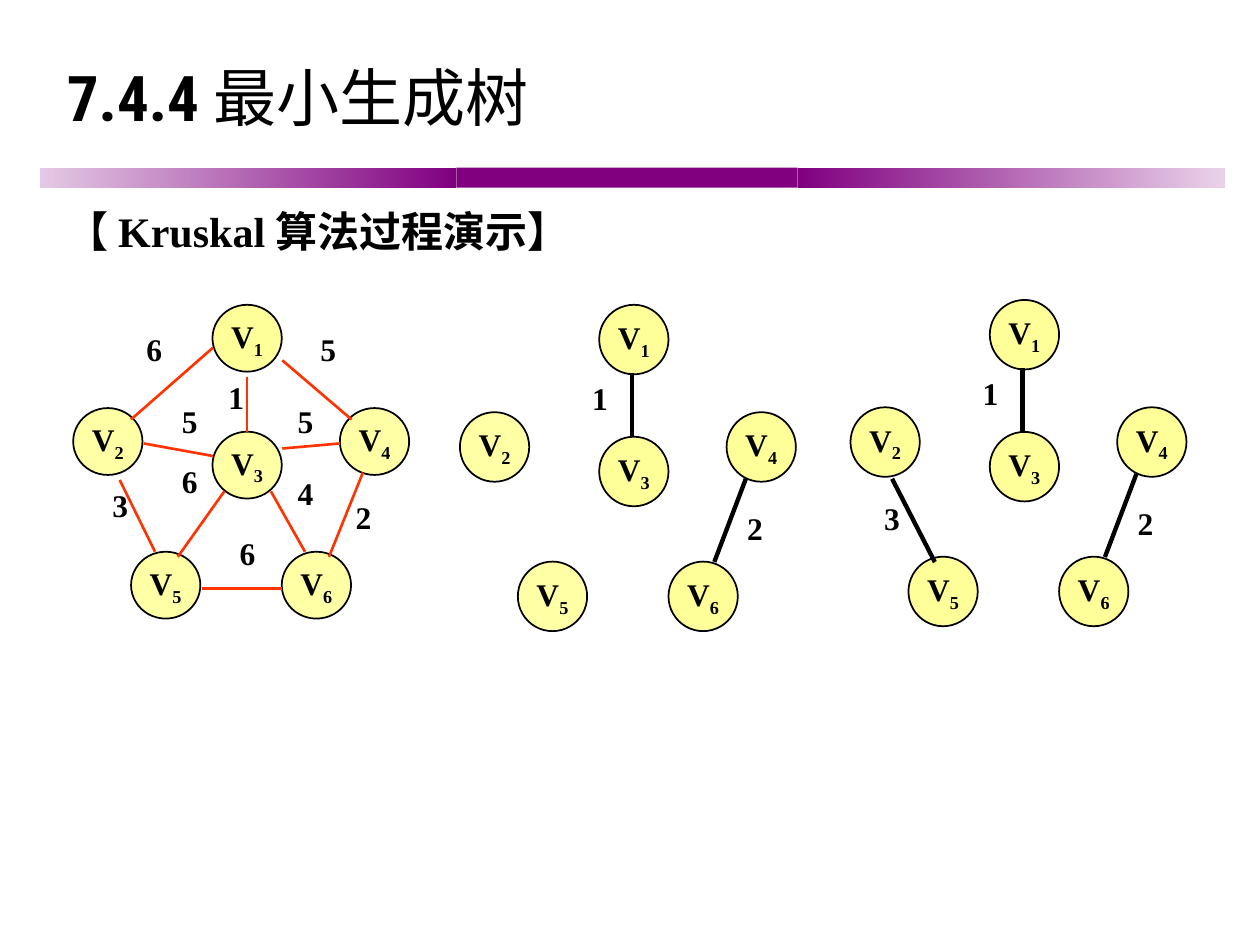
from dataclasses import dataclass

from lxml import etree
from pptx import Presentation
from pptx.dml.color import RGBColor
from pptx.enum.shapes import MSO_CONNECTOR, MSO_SHAPE
from pptx.enum.text import MSO_ANCHOR, MSO_AUTO_SIZE, PP_ALIGN
from pptx.oxml.ns import qn
from pptx.util import Pt

LEFT, CENTER = PP_ALIGN.LEFT, PP_ALIGN.CENTER
TOP, MIDDLE = MSO_ANCHOR.TOP, MSO_ANCHOR.MIDDLE
NO_AUTOFIT = MSO_AUTO_SIZE.NONE
RECTANGLE, OVAL = MSO_SHAPE.RECTANGLE, MSO_SHAPE.OVAL
STRAIGHT = MSO_CONNECTOR.STRAIGHT


@dataclass(frozen=True)
class Theme:
    ink: str = "000000"
    bar: str = "800080"
    bar_left: str = "E4C9E4"
    bar_right: str = "E9D2E9"
    node: str = "FFFF99"
    pale_node: str = "FFFFA5"
    graph_edge: str = "FF3300"
    serif: str = "Times New Roman"
    condensed: str = "Roboto Condensed"
    chinese: str = "Noto Sans CJK JP"
    title_size: float = 36
    heading_size: float = 24
    label_size: float = 18


# Vertex positions, from the top left corner of a graph
NODE_WIDTH, NODE_HEIGHT = 39.6, 38.2
VERTICES = {1: (79.6, 0), 2: (0, 59), 3: (79.6, 72.5),
            4: (152.4, 59), 5: (33.1, 141.1), 6: (119.2, 141.1)}

# Each edge: weight, start, end, top left corner of the weight
WEIGHTED_GRAPH = [
    (6, (79.9, 24.5), (33.1, 65.5), (33.1, 10.8)),
    (5, (119.5, 31.7), (159.1, 65.5), (132.5, 10.8)),
    (3, (26.6, 100.1), (46.8, 141.1), (13.7, 100.1)),
    (2, (165.6, 95.8), (146.2, 144), (152.6, 106.6)),
    (6, (73.4, 162), (119.5, 162), (86.4, 127.4)),
    (1, (99.4, 41), (99.4, 72.7), (79.9, 38.2)),
    (6, (86.4, 106.6), (59.8, 144), (53.3, 86.4)),
    (4, (113, 106.6), (132.5, 141.1), (119.5, 92.9)),
    (5, (40.3, 79.2), (79.9, 86.4), (53.3, 51.8)),
    (5, (152.6, 79.2), (119.5, 82.1), (119.5, 51.8)),
]
CHOSEN_1 = (1, (98.3, 39), (98.3, 75.5), (68.4, 36.7))
CHOSEN_2 = (2, (163.4, 99.4), (145.4, 146.9), (157, 110.9))
CHOSEN_3 = (3, (23.8, 102.2), (48.2, 149.8), (12.2, 108))


def apply_format(target, values):
    for name, value in values.items():
        setattr(target, name, value)


class SlideBuilder:
    def __init__(self, presentation, theme):
        self.theme = theme
        self.slide = presentation.slides.add_slide(presentation.slide_layouts[5])
        self.shapes = self.slide.shapes

    def fill_text(self, shape, runs, size, align=LEFT, anchor=TOP, wrap=True, spacing=None):
        """Fill a shape with runs of (text, font, bold, baseline in percent)."""
        frame = shape.text_frame
        apply_format(frame, {"auto_size": NO_AUTOFIT, "word_wrap": wrap,
                             "vertical_anchor": anchor})
        paragraph = frame.paragraphs[0]
        apply_format(paragraph, {"alignment": align, "line_spacing": spacing})
        for text, font, bold, baseline in runs:
            run = paragraph.add_run()
            run.text = text
            apply_format(run.font, {"name": font, "size": Pt(size), "bold": bold})
            run.font.color.rgb = RGBColor.from_string(self.theme.ink)
            properties = run._r.get_or_add_rPr()
            etree.SubElement(properties, qn("a:ea")).set("typeface", self.theme.chinese)
            if baseline:
                properties.set("baseline", str(baseline * 1000))

    def title(self, runs, left, top, width, height):
        shape = self.slide.shapes.title
        apply_format(shape, {"left": Pt(left), "top": Pt(top),
                             "width": Pt(width), "height": Pt(height)})
        self.fill_text(shape, runs, self.theme.title_size, anchor=MIDDLE)

    def text(self, runs, left, top, width, height, size, **options):
        shape = self.shapes.add_textbox(Pt(left), Pt(top), Pt(width), Pt(height))
        self.fill_text(shape, runs, size, **options)

    def preset(self, kind, left, top, width, height):
        shape = self.shapes.add_shape(kind, Pt(left), Pt(top), Pt(width), Pt(height))
        shape.shadow.inherit = False
        return shape

    def bar(self, left, top, width, height, start, end):
        shape = self.preset(RECTANGLE, left, top, width, height)
        shape.line.fill.background()
        if start == end:
            shape.fill.solid()
            shape.fill.fore_color.rgb = RGBColor.from_string(start)
            return
        shape.fill.gradient()
        shape.fill.gradient_angle = 0
        for stop, color in zip(shape.fill.gradient_stops, (start, end)):
            stop.color.rgb = RGBColor.from_string(color)

    def node(self, number, left, top, height, color):
        shape = self.preset(OVAL, left, top, NODE_WIDTH, height)
        shape.fill.solid()
        shape.fill.fore_color.rgb = RGBColor.from_string(color)
        shape.line.color.rgb = RGBColor.from_string(self.theme.ink)
        shape.line.width = Pt(1)
        serif = self.theme.serif
        self.fill_text(shape, [("V", serif, True, 0), (str(number), serif, True, -25)],
                       self.theme.label_size, align=CENTER, anchor=MIDDLE, wrap=False)

    def edge(self, start, end, color, width):
        line = self.shapes.add_connector(STRAIGHT, *map(Pt, start + end))
        line.line.color.rgb = RGBColor.from_string(color)
        line.line.width = Pt(width)
        etree.SubElement(line._element.spPr, qn("a:effectLst"))

    def graph(self, left, top, edges, color, line_width, weight_box,
              stretch=1, pale=(), spacing=None):
        """Draw the six vertices and the given edges as one group."""
        self.shapes = self.slide.shapes.add_group_shape().shapes
        for number, (x, y) in VERTICES.items():
            fill = self.theme.pale_node if number in pale else self.theme.node
            self.node(number, left + x, top + y * stretch, NODE_HEIGHT * stretch, fill)
        for weight, start, end, (x, y) in edges:
            self.edge((left + start[0], top + start[1]),
                      (left + end[0], top + end[1]), color, line_width)
            self.text([(str(weight), self.theme.serif, True, 0)], left + x, top + y,
                      *weight_box, self.theme.label_size, align=CENTER, spacing=spacing)
        self.shapes = self.slide.shapes


def main():
    presentation = Presentation()
    apply_format(presentation, {"slide_width": Pt(720), "slide_height": Pt(540)})
    theme = Theme()
    builder = SlideBuilder(presentation, theme)

    left = 23
    for width, start, end in [(237.8, theme.bar_left, theme.bar),
                              (195, theme.bar, theme.bar),
                              (244, theme.bar, theme.bar_right)]:
        builder.bar(left, 95.8, width, 11.5, start, end)
        left += width

    builder.title([("7.4.4 ", theme.condensed, True, 0),
                   ("最小生成树", theme.chinese, False, 0)], 31, 26, 652, 57.6)
    builder.text([("【 Kruskal 算法过程演示】", theme.serif, True, 0)],
                 31, 113.8, 663, 41.8, theme.heading_size)

    builder.graph(41.8, 174.2, WEIGHTED_GRAPH, theme.graph_edge, 1.5, (26.6, 28.8),
                  pale=(2, 3, 4, 5, 6))
    forest = {"color": theme.ink, "line_width": 2.5, "weight_box": (23, 31),
              "stretch": 1.04, "spacing": 1.1}
    builder.graph(262.8, 174.2, [CHOSEN_1, CHOSEN_2], pale=(2, 5), **forest)
    builder.graph(486, 171.4, [CHOSEN_1, CHOSEN_2, CHOSEN_3], **forest)

    presentation.save("out.pptx")


if __name__ == "__main__":
    main()
